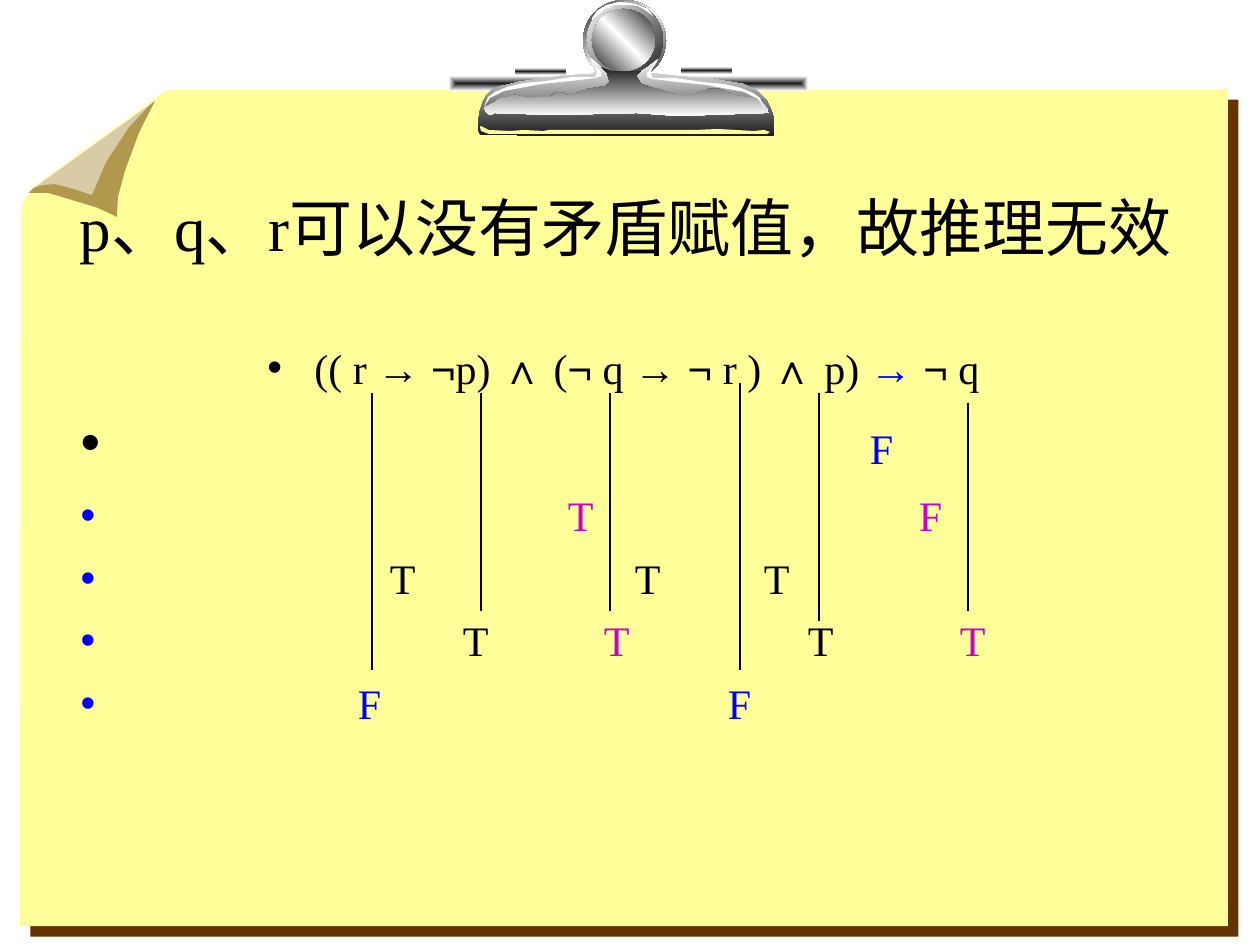
from dataclasses import dataclass

import pptx
import pptx.dml.color
import pptx.enum.shapes
import pptx.enum.text
import pptx.oxml
import pptx.oxml.ns
import pptx.util

SCALE = 914400 / 126
MIRROR = 1248  # sum of the x values of two mirrored points on the clip


@dataclass(frozen=True)
class Theme:
    serif: str = "Times New Roman"
    sans: str = "Arial"
    title: int = 36
    body: int = 24
    tall: int = 32
    black: str = "000000"
    white: str = "FFFFFF"
    steel: str = "1C1C1C"
    paper: str = "FFFF99"
    brown: str = "663300"
    blue: str = "0000FF"
    purple: str = "CC00CC"


T = Theme()

PAPER = [(170, 90), (175, 89), (1228, 89), (1228, 926), (20, 926), (21, 215), (23, 203),
         (28, 193), (34, 186), (150, 101), (164, 92)]
CURL_SHADE = [(62, 197), (98, 208), (117, 217), (118, 197), (125, 171), (139, 133),
              (155, 101), (34, 188), (28, 193), (48, 193)]
CURL_LIGHT = [(26, 197), (29, 190), (39, 183), (161, 93), (129, 127), (106, 162), (92, 195),
              (74, 189), (55, 184), (43, 185), (33, 188)]
RING_SHINE = [(653, 16), (648, 9), (636, 4), (620, 2), (606, 5), (597, 11), (592, 18),
              (592, 20), (605, 9), (615, 5), (629, 5), (638, 6), (645, 10)]
CLIP = [(480, 134), (484, 135), (774, 136), (774, 120), (772, 112), (767, 101), (757, 91),
        (743, 84), (712, 79), (675, 76), (649, 73), (656, 63), (658, 59), (648, 67),
        (640, 72), (634, 74), (622, 74), (611, 73), (602, 68), (591, 58), (595, 72),
        (592, 74), (561, 76), (519, 82), (498, 87), (493, 89), (486, 96), (483, 102),
        (480, 111), (478, 123), (478, 129)]
CLIP_SHINE = [(484, 107), (488, 97), (495, 92), (507, 87), (524, 83), (546, 81), (573, 77),
              (595, 77), (597, 73), (596, 67), (601, 72), (601, 76), (596, 78), (571, 81),
              (542, 84), (504, 91), (490, 98)]
CLIP_EDGE = [(481, 126), (480, 127), (481, 131), (489, 134), (767, 134), (770, 132),
             (764, 130), (754, 131), (718, 129), (694, 130), (549, 130), (543, 131),
             (524, 130), (510, 131), (489, 130)]
CLIP_FACE = [(505, 98), (500, 98), (495, 102), (487, 106), (484, 108), (486, 112), (490, 115),
             (495, 113), (554, 115), (637, 113), (678, 116), (765, 113), (769, 113),
             (767, 108), (761, 101), (756, 98), (737, 96), (719, 89), (709, 89), (690, 96),
             (675, 95), (657, 89), (641, 84), (636, 76), (641, 71), (625, 72), (610, 71),
             (601, 67), (607, 73), (610, 82), (606, 86), (588, 89), (569, 96), (563, 93),
             (555, 93), (551, 97), (540, 97), (528, 98), (515, 95)]

# text, font, colour
FORMULA = [("(( r ", T.serif, T.black), ("→ ¬", T.sans, T.black), ("p) ", T.serif, T.black),
           ("∧", T.sans, T.black), (" (", T.serif, T.black), ("¬", T.sans, T.black),
           (" q ", T.serif, T.black), ("→ ¬", T.sans, T.black), (" r ) ", T.serif, T.black),
           ("∧", T.sans, T.black), (" p) ", T.serif, T.black), ("→ ", T.sans, T.blue),
           ("¬", T.sans, T.black), (" q", T.serif, T.black)]
# bullet colour, tab size, space before, values as (centre x, letter, colour)
ROWS = [
    (T.black, T.tall, 9, [(882, "F", T.blue)]),
    (T.blue, T.body, 8, [(581, "T", T.purple), (931, "F", T.purple)]),
    (T.blue, T.body, 7, [(403, "T", T.black), (648, "T", T.black), (777, "T", T.black)]),
    (T.blue, T.body, 7, [(476, "T", T.black), (617, "T", T.purple), (821, "T", T.black),
                         (973, "T", T.purple)]),
    (T.blue, T.body, 7, [(370, "F", T.blue), (740, "F", T.blue)]),
]
# x, top, bottom
GUIDES = [(372, 393, 670), (481, 393, 611), (610, 393, 611), (740, 383, 670),
          (819, 393, 621), (968, 403, 611)]
BODY_BOX = (68, 336, 1111, 483)
INSET = 13


def px(n):
    return pptx.util.Emu(round(n * SCALE))


def rgb(color):
    return pptx.dml.color.RGBColor.from_string(color)


def xml(tag, parent, **attrs):
    el = pptx.oxml.parse_xml(f'<a:{tag} {pptx.oxml.ns.nsdecls("a")}/>')
    for name, value in attrs.items():
        el.set(name, str(value))
    parent.append(el)
    return el


def finish(s, color, alpha=100):
    """Give a shape a plain fill without line or shadow."""
    s.shadow.inherit = False
    s.line.fill.background()
    s.fill.solid()
    s.fill.fore_color.rgb = rgb(color)
    if alpha < 100:
        xml("alpha", s._element.spPr.find(".//" + pptx.oxml.ns.qn("a:srgbClr")), val=alpha * 1000)
    return s


def gradient(s, colors, angle=None):
    """Spread the colours evenly; without an angle they run out from the centre."""
    spPr = s._element.spPr
    solid = spPr.find(pptx.oxml.ns.qn("a:solidFill"))
    grad = xml("gradFill", spPr, rotWithShape=1)
    spPr.replace(solid, grad)
    stops = xml("gsLst", grad)
    for i, color in enumerate(colors):
        xml("srgbClr", xml("gs", stops, pos=100000 * i // (len(colors) - 1)), val=color)
    if angle is None:
        xml("fillToRect", xml("path", grad, path="rect"), l=50000, t=50000, r=50000, b=50000)
    else:
        xml("lin", grad, ang=angle * 60000, scaled=0)


def outline(slide, points, color, alpha=100):
    builder = slide.shapes.build_freeform(*points[0], scale=SCALE)
    builder.add_line_segments(points[1:], close=True)
    return finish(builder.convert_to_shape(), color, alpha)


def preset(slide, kind, box, colors, angle=None):
    s = finish(slide.shapes.add_shape(kind, *map(px, box)), T.steel)
    gradient(s, colors, angle)


def add_paper(slide):
    s = outline(slide, PAPER, T.paper)
    effects = s._element.spPr.find(pptx.oxml.ns.qn("a:effectLst"))
    shadow = xml("outerShdw", effects, dist=pptx.util.Pt(8.5), dir=45 * 60000, rotWithShape=0)
    xml("srgbClr", shadow, val=T.brown)
    outline(slide, CURL_SHADE, T.brown, 50)
    outline(slide, CURL_LIGHT, T.white, 50)


def add_clip(slide):
    rect = pptx.enum.shapes.MSO_SHAPE.RECTANGLE
    oval = pptx.enum.shapes.MSO_SHAPE.OVAL
    dark_middle = (T.white, T.steel, T.white)
    light_middle = (T.steel, T.white, T.steel)
    preset(slide, rect, (449, 76, 359, 15), (T.steel, T.white))
    preset(slide, rect, (515, 68, 51, 7), dark_middle, 90)
    preset(slide, rect, (681, 67, 51, 7), dark_middle, 90)
    preset(slide, oval, (583, 0, 83, 81), light_middle, 225)
    preset(slide, oval, (587, 2, 76, 76), (T.steel, T.white), 225)
    outline(slide, RING_SHINE, T.white)
    preset(slide, oval, (592, 9, 63, 62), light_middle, 135)
    gradient(outline(slide, CLIP, T.steel), (T.white, T.steel), 90)
    outline(slide, CLIP_SHINE, T.white)
    outline(slide, CLIP_EDGE, T.paper)
    gradient(outline(slide, CLIP_FACE, T.steel), (T.steel, T.white), 90)
    outline(slide, [(MIRROR - x, y + 1) for x, y in CLIP_SHINE], T.white)


def place(slide, ph, box, anchor):
    """Position a placeholder in front of everything drawn so far."""
    slide.shapes._spTree.append(ph._element)
    ph.left, ph.top, ph.width, ph.height = map(px, box)
    tf = ph.text_frame
    tf.word_wrap = True
    tf.auto_size = pptx.enum.text.MSO_AUTO_SIZE.NONE
    tf.vertical_anchor = anchor
    return tf


def format_font(font, size=None, name=None, color=None):
    if size:
        font.size = pptx.util.Pt(size)
    if name:
        font.name = name
    if color:
        font.color.rgb = rgb(color)


def add_run(p, text, **style):
    r = p.add_run()
    r.text = text
    format_font(r.font, **style)


def format_bullet(p, color, indent=0, tabs=()):
    pPr = p._p.get_or_add_pPr()
    pPr.set("marL", str(px(indent)))
    pPr.set("indent", str(-px(indent)))
    xml("srgbClr", xml("buClr", pPr), val=color)
    xml("buChar", pPr, char="•")
    if tabs:
        stops = xml("tabLst", pPr)
        for x in tabs:
            xml("tab", stops, pos=px(x), algn="ctr")


def add_title(slide):
    tf = place(slide, slide.shapes.title, (66, 168, 1120, 116), pptx.enum.text.MSO_ANCHOR.MIDDLE)
    p = tf.paragraphs[0]
    p.alignment = pptx.enum.text.PP_ALIGN.CENTER
    add_run(p, "p、q、r可以没有矛盾赋值，故推理无效")
    format_font(p.font, T.title, T.serif, T.black)


def add_truth_values(slide):
    tf = place(slide, slide.placeholders[1], BODY_BOX, pptx.enum.text.MSO_ANCHOR.TOP)
    p = tf.paragraphs[0]
    p.alignment = pptx.enum.text.PP_ALIGN.CENTER
    p.space_before = pptx.util.Pt(0)
    format_bullet(p, T.black, 47)
    format_font(p.font, T.body)
    for text, name, color in FORMULA:
        add_run(p, text, name=name, color=color)
    text_left = BODY_BOX[0] + INSET
    for bullet, tab_size, gap, values in ROWS:
        p = tf.add_paragraph()
        p.space_before = pptx.util.Pt(gap)
        format_bullet(p, bullet, tabs=[x - text_left for x, _, _ in values])
        format_font(p.font, name=T.serif)
        for _, letter, color in values:
            add_run(p, "\t", size=tab_size)
            add_run(p, letter, size=T.body, color=color)


def add_guide(slide, x, top, bottom):
    straight = pptx.enum.shapes.MSO_CONNECTOR.STRAIGHT
    s = slide.shapes.add_connector(straight, px(x), px(top), px(x), px(bottom))
    s.line.color.rgb = rgb(T.black)
    s.line.width = pptx.util.Pt(0.75)
    xml("effectLst", s._element.spPr)


def main():
    prs = pptx.Presentation()
    prs.slide_width, prs.slide_height = px(1260), px(945)
    slide = prs.slides.add_slide(prs.slide_layouts[1])
    add_paper(slide)
    add_clip(slide)
    add_title(slide)
    add_truth_values(slide)
    for guide in GUIDES:
        add_guide(slide, *guide)
    prs.save("out.pptx")


if __name__ == "__main__":
    main()
